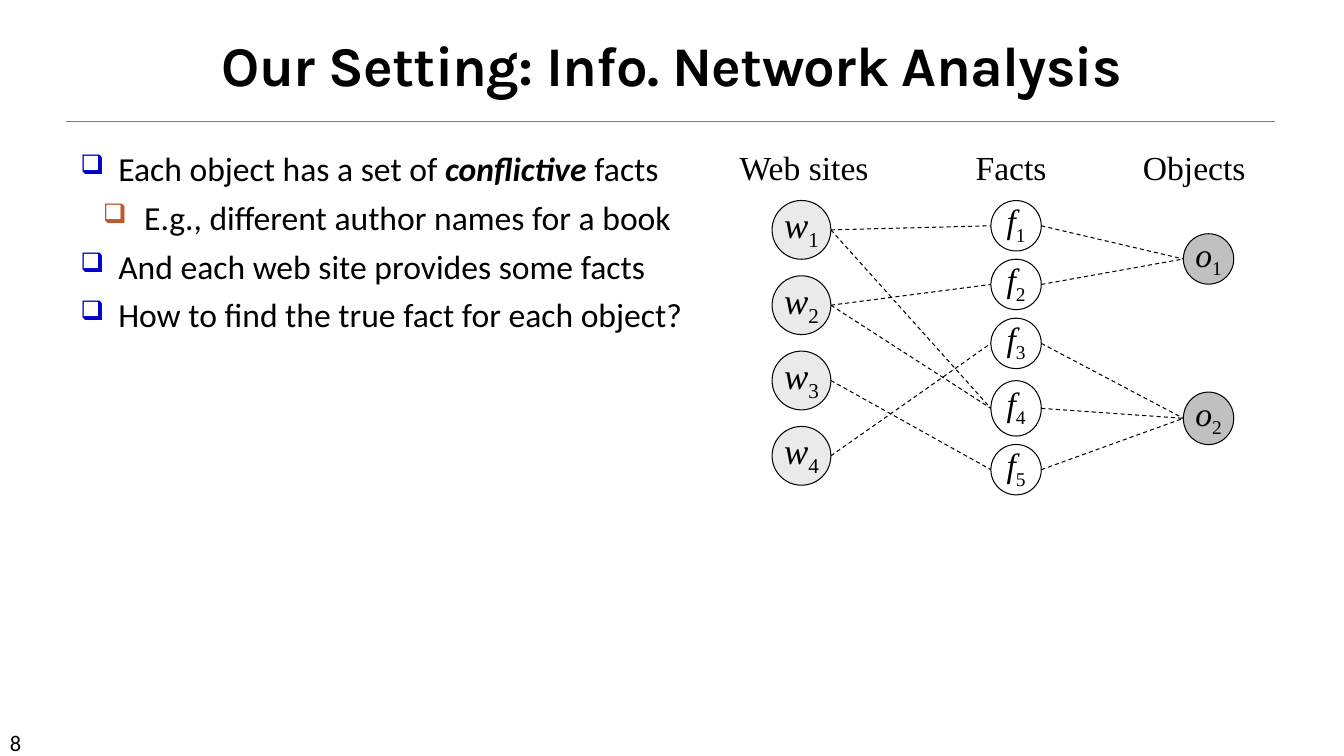
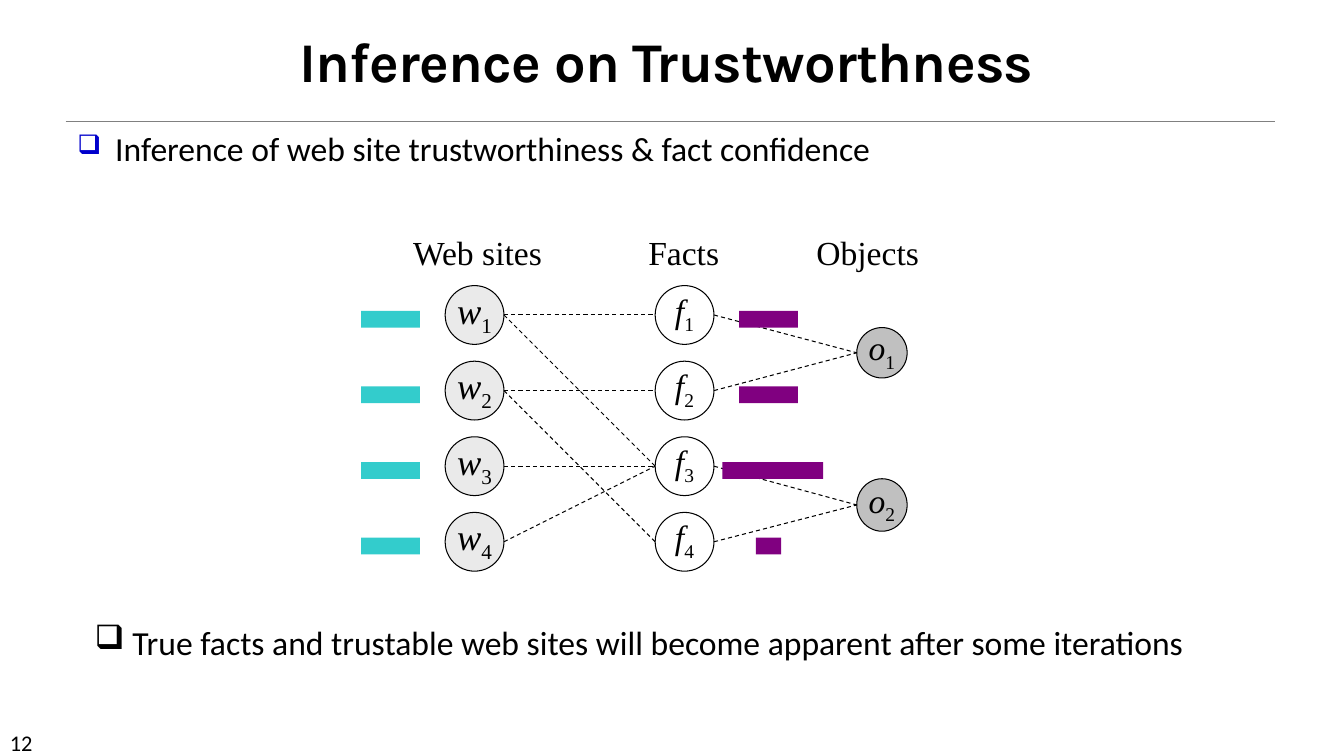
"""Build two slides on finding true facts in a network of web sites."""
from dataclasses import dataclass
from typing import Optional

import lxml.etree
import pptx
import pptx.dml.color
import pptx.enum.dml
import pptx.enum.shapes
import pptx.enum.text
import pptx.oxml.ns
import pptx.presentation
import pptx.slide
import pptx.text.text
import pptx.util

Pt = pptx.util.Pt
Color = pptx.dml.color.RGBColor
Shape = pptx.enum.shapes.MSO_SHAPE
Align = pptx.enum.text.PP_ALIGN
Anchor = pptx.enum.text.MSO_ANCHOR
qn = pptx.oxml.ns.qn

BLACK = Color(0x00, 0x00, 0x00)
WHITE = Color(0xFF, 0xFF, 0xFF)
RULE = Color(0x80, 0x80, 0x80)
PALE = Color(0xEA, 0xEA, 0xEA)
SILVER = Color(0xC0, 0xC0, 0xC0)
BLUE = Color(0x00, 0x00, 0xCC)
RUST = Color(0xBD, 0x58, 0x2C)
TEAL = Color(0x33, 0xCC, 0xCC)
PURPLE = Color(0x80, 0x00, 0x80)

HEAD, BODY, MATH = "Karla", "Calibri", "Times New Roman"
WIDTH, HEIGHT = 960, 540
PITCH = 54


@dataclass(frozen=True)
class Box:
    """A place on the slide, in points."""
    left: float
    top: float
    width: float
    height: float


@dataclass(frozen=True)
class Piece:
    """A stretch of text in one style."""
    text: str
    strong: bool = False


@dataclass(frozen=True)
class Point:
    """One bulleted paragraph."""
    pieces: tuple[Piece, ...]
    level: int = 0
    tint: Optional[Color] = BLUE
    scale: int = 80
    lead: Optional[float] = None


@dataclass(frozen=True)
class Node:
    """One circle, placed by its left edge and its middle."""
    left: float
    mid: float
    width: float
    height: float


@dataclass(frozen=True)
class Group:
    """One column of circles under a heading."""
    title: str
    head: Box
    sign: str
    size: float
    fill: Color
    nodes: tuple[Node, ...]


@dataclass(frozen=True)
class Graph:
    """Three columns and the pairs that join each to the next."""
    groups: tuple[Group, Group, Group]
    links: tuple[tuple[tuple[int, int], ...], ...]


def write(para: pptx.text.text._Paragraph, text: str, face: str, size: float,
          bold: bool = False, slant: bool = False, **extra: str) -> None:
    """Add one formatted run."""
    run = para.add_run()
    run.text = text
    font = run.font
    font.name, font.size, font.bold, font.italic = face, Pt(size), bold, slant
    font.color.rgb = BLACK
    for key, value in extra.items():
        run._r.get_or_add_rPr().set(key, value)


def place(box: Box) -> tuple[int, int, int, int]:
    """Turn a box into lengths."""
    return Pt(box.left), Pt(box.top), Pt(box.width), Pt(box.height)


def add_text(slide: pptx.slide.Slide, box: Box) -> pptx.text.text.TextFrame:
    """Add a wrapping text box."""
    frame = slide.shapes.add_textbox(*place(box)).text_frame
    frame.word_wrap = True
    return frame


def add_line(slide: pptx.slide.Slide, start: tuple[float, float], end: tuple[float, float],
             color: Color, width: float, dash: bool = False) -> None:
    """Draw a straight line."""
    line = slide.shapes.add_connector(
        pptx.enum.shapes.MSO_CONNECTOR.STRAIGHT, *(Pt(v) for v in start + end))
    line.line.color.rgb = color
    line.line.width = Pt(width)
    if dash:
        line.line.dash_style = pptx.enum.dml.MSO_LINE.DASH
    lxml.etree.SubElement(line._element.spPr, qn("a:effectLst"))


def add_slide(deck: pptx.presentation.Presentation, title: str, box: Box,
              number: int) -> pptx.slide.Slide:
    """Add a slide with its title, rule and number."""
    slide = deck.slides.add_slide(deck.slide_layouts[5])
    shape = slide.shapes.title
    shape.left, shape.top, shape.width, shape.height = place(box)
    frame = shape.text_frame
    frame.auto_size = pptx.enum.text.MSO_AUTO_SIZE.NONE
    frame.vertical_anchor = Anchor.MIDDLE
    para = frame.paragraphs[0]
    para.alignment, para.line_spacing = Align.CENTER, 0.85
    write(para, title, HEAD, 40, bold=True, spc="-50")
    add_line(slide, (46.8, 86.4), (910.8, 86.4), RULE, 0.5)
    foot = add_text(slide, Box(0, 517, 84, 21.6))
    write(foot.paragraphs[0], str(number), BODY, 16)
    return slide


def add_points(slide: pptx.slide.Slide, box: Box, points: tuple[Point, ...]) -> None:
    """Add a bulleted list."""
    frame = add_text(slide, box)
    for index, point in enumerate(points):
        para = frame.add_paragraph() if index else frame.paragraphs[0]
        para.level = point.level
        inset, hang = ((27, 27), (45.5, 29.5))[point.level]
        props = para._p.get_or_add_pPr()
        props.set("marL", str(Pt(inset)))
        props.set("indent", str(-Pt(hang)))
        if point.tint is not None:
            tint = lxml.etree.SubElement(props, qn("a:buClr"))
            lxml.etree.SubElement(tint, qn("a:srgbClr")).set("val", str(point.tint))
        lxml.etree.SubElement(props, qn("a:buSzPct")).set("val", str(point.scale * 1000))
        lxml.etree.SubElement(props, qn("a:buChar")).set("char", "❑")
        if index:
            para.space_before = Pt(6)
        if point.lead:
            para.line_spacing = point.lead
        for piece in point.pieces:
            write(para, piece.text, BODY, 24, piece.strong, piece.strong)


def add_node(slide: pptx.slide.Slide, group: Group, node: Node, number: int) -> None:
    """Draw a circle with its sign and lowered number."""
    box = Box(node.left, node.mid - node.height / 2, node.width, node.height)
    shape = slide.shapes.add_shape(Shape.OVAL, *place(box))
    shape.shadow.inherit = False
    shape.fill.solid()
    shape.fill.fore_color.rgb = group.fill
    shape.line.color.rgb = BLACK
    shape.line.width = Pt(0.75)
    frame = shape.text_frame
    frame.word_wrap = False
    frame.vertical_anchor = Anchor.MIDDLE
    frame.margin_top, frame.margin_bottom = Pt(0), Pt(3.6)
    para = frame.paragraphs[0]
    para.alignment = Align.CENTER
    write(para, group.sign, MATH, group.size, slant=True)
    write(para, str(number), MATH, group.size, baseline="-25000")


def add_graph(slide: pptx.slide.Slide, graph: Graph) -> None:
    """Draw the headings, circles and links."""
    for group in graph.groups:
        head = add_text(slide, group.head)
        write(head.paragraphs[0], group.title, MATH, 24)
        for number, node in enumerate(group.nodes, 1):
            add_node(slide, group, node, number)
    for near, far, pairs in zip(graph.groups, graph.groups[1:], graph.links):
        for first, last in pairs:
            start, end = near.nodes[first - 1], far.nodes[last - 1]
            add_line(slide, (start.left + start.width, start.mid), (end.left, end.mid),
                     BLACK, 0.75, dash=True)


def add_bar(slide: pptx.slide.Slide, center: float, top: float, width: float,
            color: Color) -> None:
    """Draw a score bar."""
    shape = slide.shapes.add_shape(
        Shape.RECTANGLE, *place(Box(center - width / 2, top, width, 12)))
    shape.shadow.inherit = False
    shape.fill.solid()
    shape.fill.fore_color.rgb = color
    shape.line.fill.background()


def make_graph(heads: tuple[float, float, float], top: float, webs: tuple[Node, ...],
               facts: tuple[Node, ...], things: tuple[Node, ...],
               links: tuple[tuple[tuple[int, int], ...], ...]) -> Graph:
    """Gather the three columns of a graph."""
    web, fact, thing = (Box(left, top, width, 36)
                        for left, width in zip(heads, (114, 72, 96)))
    return Graph((Group("Web sites", web, "w", 26, PALE, webs),
                  Group("Facts", fact, "f", 24, WHITE, facts),
                  Group("Objects", thing, "o", 24, SILVER, things)), links)


def stack(left: float, mid: float, pitch: float) -> tuple[Node, ...]:
    """Place four even circles in a column."""
    return tuple(Node(left, mid + pitch * row, 42, 42) for row in range(4))


def add_setting(deck: pptx.presentation.Presentation) -> None:
    """Add the slide on the setting."""
    slide = add_slide(deck, "Our Setting: Info. Network Analysis",
                      Box(0, 21, WIDTH, 57), 8)
    add_points(slide, Box(50.4, 102.2, 471, 144), (
        Point((Piece("Each object has a set of "), Piece("conflictive", True),
               Piece(" facts"))),
        Point((Piece("E.g., different author names for a book"),), 1, RUST),
        Point((Piece("And each web site provides some facts"),)),
        Point((Piece("How to find the true fact for each object?"),))))
    mids = ((161.3, 36), (203.2, 36), (245.3, 36), (291.7, 39.6), (335.5, 36))
    add_graph(slide, make_graph(
        (521.3, 689.8, 809.3), 101.5, stack(551.5, 164.2, 53.8),
        tuple(Node(707.8, mid, 36, height) for mid, height in mids),
        (Node(845.3, 185, 36, 36), Node(845.3, 298.8, 36, 37.5)),
        (((1, 1), (1, 4), (2, 2), (2, 4), (3, 5), (4, 3)),
         ((1, 1), (2, 1), (3, 2), (4, 2), (5, 2)))))


def add_trust(deck: pptx.presentation.Presentation) -> None:
    """Add the slide on trust scores."""
    slide = add_slide(deck, "Inference on Trustworthness",
                      Box(-12, 17.3, 976, 58.3), 12)
    add_points(slide, Box(48.2, 90.7, 857.5, 34.6), (
        Point((Piece("Inference of web site trustworthiness & fact confidence"),),
              lead=0.9),))
    add_graph(slide, make_graph(
        (288, 456, 576), 162, stack(318, 225, PITCH), stack(468, 225, PITCH),
        (Node(612, 252, 36, 36), Node(612, 360.7, 36, 37.5)),
        (((1, 1), (1, 3), (2, 2), (2, 4), (3, 3), (4, 3)),
         ((1, 1), (2, 1), (3, 2), (4, 2)))))
    for row, width in enumerate((42, 42, 72, 18)):
        top = 222 + PITCH * row
        add_bar(slide, 279, top, 42, TEAL)
        add_bar(slide, 549 if width != 72 else 552, top, width, PURPLE)
    add_points(slide, Box(60.5, 440.6, 857.5, 34.6), (
        Point((Piece("True facts and trustable web sites will become apparent "
                     "after some iterations"),), tint=None, scale=100),))


def main() -> None:
    """Build and save the deck."""
    deck = pptx.Presentation()
    deck.slide_width, deck.slide_height = Pt(WIDTH), Pt(HEIGHT)
    add_setting(deck)
    add_trust(deck)
    deck.save("out.pptx")


if __name__ == "__main__":
    main()
